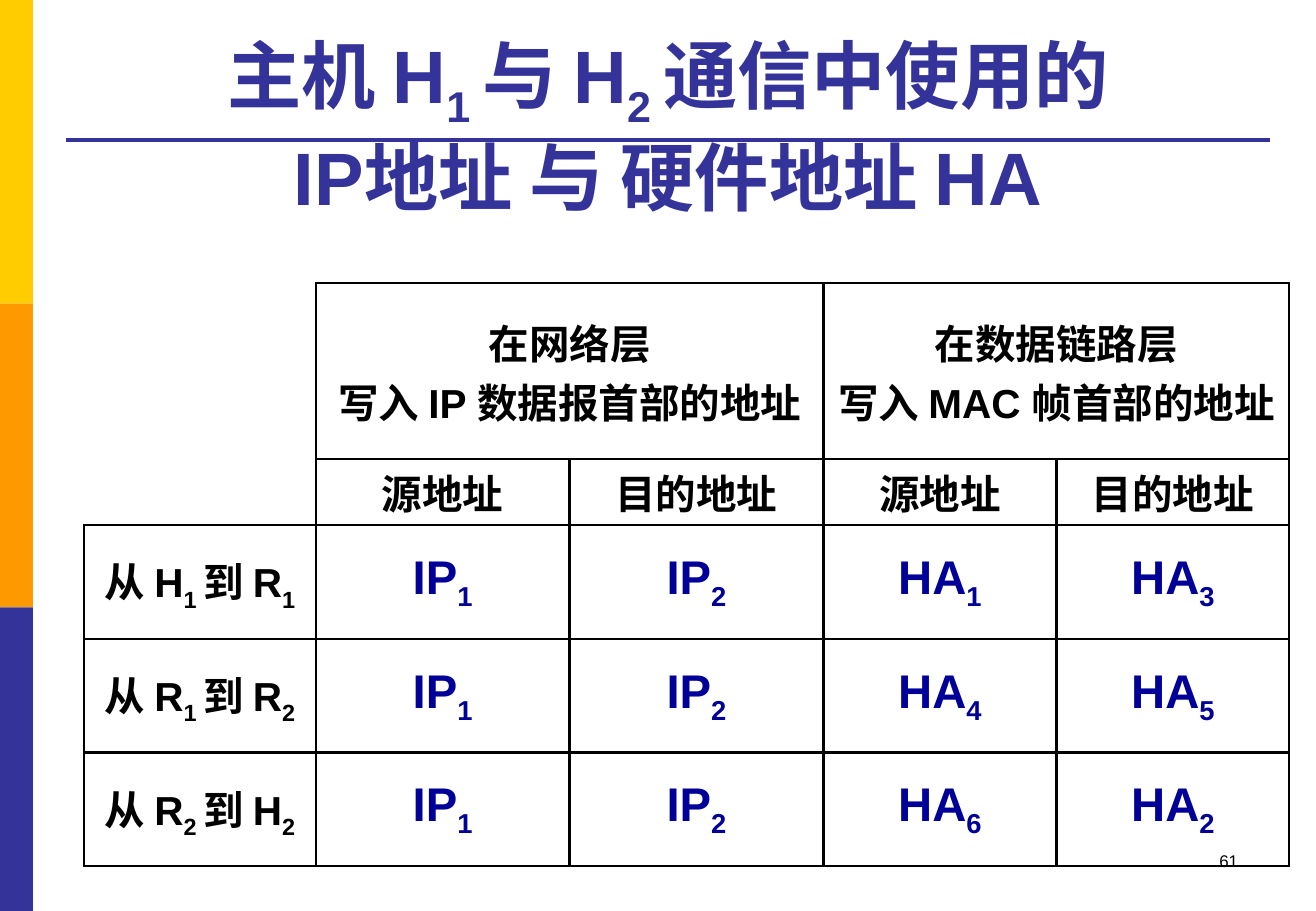
"""Build the slide on IP and hardware addresses used between hosts H1 and H2."""
import pptx
import pptx.dml.color
import pptx.enum.shapes
import pptx.enum.text
import pptx.oxml
import pptx.oxml.ns
import pptx.util
from lxml import etree

Pt = pptx.util.Pt
ALIGN = pptx.enum.text.PP_ALIGN
ANCHOR = pptx.enum.text.MSO_ANCHOR
COLORS = {"yellow": "FFCC00", "orange": "FF9900", "indigo": "333399",
          "address": "000099", "black": "000000"}


def write(para, text, size, color, bold=True, align=ALIGN.CENTER):
    """Add text to a paragraph; every second piece between bars is a subscript."""
    para.alignment = align
    for index, piece in enumerate(text.split("|")):
        if piece:
            span = para.add_run()
            span.text = piece
            span.font.name = "Arial"
            span.font.size = Pt(size)
            span.font.bold = bold
            span.font.color.rgb = pptx.dml.color.RGBColor.from_string(COLORS[color])
            if index % 2:
                span._r.get_or_add_rPr().set("baseline", "-25000")


def add_border(cell, side, visible):
    """Draw or hide one border of a table cell."""
    fill = f'<a:solidFill><a:srgbClr val="{COLORS["black"]}"/></a:solidFill>' if visible else "<a:noFill/>"
    cell._tc.get_or_add_tcPr().append(pptx.oxml.parse_xml(
        f'<a:ln{side} {pptx.oxml.ns.nsdecls("a")} w="{Pt(1.5)}">{fill}</a:ln{side}>'))


deck = pptx.Presentation()
deck.slide_width, deck.slide_height = Pt(780), Pt(540)
page = deck.slides.add_slide(deck.slide_layouts[5])

for index, name in enumerate(["yellow", "orange", "indigo"]):
    band = page.shapes.add_shape(pptx.enum.shapes.MSO_SHAPE.RECTANGLE,
                                 Pt(0), Pt(180 * index), Pt(19.5), Pt(180))
    band.shadow.inherit = False
    band.fill.solid()
    band.fill.fore_color.rgb = pptx.dml.color.RGBColor.from_string(COLORS[name])
    band.line.fill.background()

rule = page.shapes.add_connector(pptx.enum.shapes.MSO_CONNECTOR.STRAIGHT,
                                 Pt(39), Pt(82.8), Pt(753), Pt(82.8))
rule.line.color.rgb = pptx.dml.color.RGBColor.from_string(COLORS["indigo"])
rule.line.width = Pt(2.25)
etree.SubElement(rule._element.spPr, pptx.oxml.ns.qn("a:effectLst"))

title = page.shapes.title
title.left, title.top, title.width, title.height = Pt(39), Pt(15), Pt(714), Pt(119)
title.text_frame.auto_size = pptx.enum.text.MSO_AUTO_SIZE.NONE
title.text_frame.vertical_anchor = ANCHOR.BOTTOM
para = title.text_frame.paragraphs[0]
write(para, "主机 H|1 |与 H|2 |通信中使用的", 44, "indigo")
para.add_line_break()
write(para, "IP地址 与 硬件地址 HA", 44, "indigo")
page.shapes._spTree.append(title._element)

ROWS = [
    ["", "在网络层\n写入 IP 数据报首部的地址", "", "在数据链路层\n写入 MAC 帧首部的地址", ""],
    ["", "源地址", "目的地址", "源地址", "目的地址"],
    ["从 H|1 |到 R|1", "IP|1", "IP|2", "HA|1", "HA|3"],
    ["从 R|1 |到 R|2", "IP|1", "IP|2", "HA|4", "HA|5"],
    ["从 R|2 |到 H|2", "IP|1", "IP|2", "HA|6", "HA|2"],
]
COLUMN_WIDTHS = [137.3, 150.5, 150.5, 138.1, 138.1]
ROW_HEIGHTS = [78, 39, 39, 39, 39]

table = page.shapes.add_table(len(ROWS), len(COLUMN_WIDTHS), Pt(49.8), Pt(167.8),
                              Pt(sum(COLUMN_WIDTHS)), Pt(sum(ROW_HEIGHTS))).table
table.first_row = table.horz_banding = False
for column, width in zip(table.columns, COLUMN_WIDTHS):
    column.width = Pt(width)
for row, height in zip(table.rows, ROW_HEIGHTS):
    row.height = Pt(height)

for row_index, texts in enumerate(ROWS):
    for column_index, text in enumerate(texts):
        cell = table.cell(row_index, column_index)
        cell.margin_left = cell.margin_right = Pt(5)
        cell.margin_top = cell.margin_bottom = Pt(0)
        cell.vertical_anchor = ANCHOR.MIDDLE
        corner = row_index < 2 and column_index == 0
        for side in "LRTB":
            add_border(cell, side, not (corner and side in "LT"))
        cell.fill.background()
        is_address = row_index >= 2 and column_index >= 1
        size, color = (28, "address") if is_address else (24, "black")
        for line_index, line in enumerate(text.split("\n")):
            frame = cell.text_frame
            para = frame.add_paragraph() if line_index else frame.paragraphs[0]
            write(para, line, size, color)

for first, last in [((0, 0), (1, 0)), ((0, 1), (0, 2)), ((0, 3), (0, 4))]:
    table.cell(*first).merge(table.cell(*last))

number = page.shapes.add_textbox(Pt(558.7), Pt(500.4), Pt(182.2), Pt(36))
number.text_frame.word_wrap = True
write(number.text_frame.paragraphs[0], "61", 10, "black", False, ALIGN.RIGHT)

deck.save("out.pptx")
